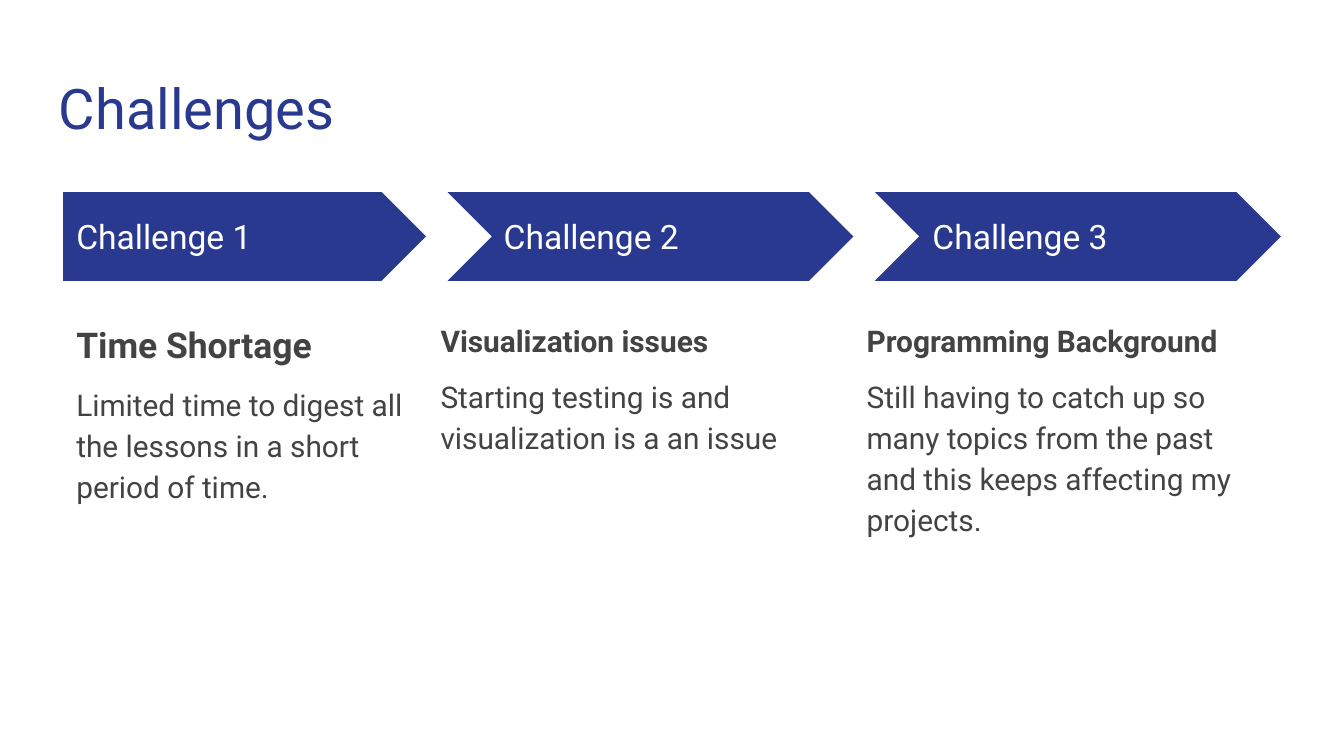
from dataclasses import dataclass

from pptx import Presentation
from pptx.dml.color import RGBColor
from pptx.enum.shapes import MSO_SHAPE
from pptx.enum.text import MSO_ANCHOR
from pptx.util import Inches, Pt


@dataclass(frozen=True)
class Theme:
    font: str = "Roboto"
    blue: RGBColor = RGBColor(0x2A, 0x39, 0x90)
    white: RGBColor = RGBColor(0xFF, 0xFF, 0xFF)
    grey: RGBColor = RGBColor(0x43, 0x43, 0x43)
    title: int = 30
    label: int = 18
    body: int = 16


THEME = Theme()
ARROW_TOP, ARROW_HEIGHT = 1.43, 0.66
LABEL_WIDTH, LABEL_HEIGHT = 2.47, 0.34
BODY_TOP, BODY_HEIGHT = 2.26, 2.9

# heading, heading size, detail, arrow (left, width), label left, body (left, width)
CHALLENGES = [
    ("Time Shortage", 19,
     "Limited time to digest all the lessons in a short period of time.",
     (0.47, 2.7), 0.47, (0.47, 2.7)),
    ("Visualization issues", THEME.body,
     "Starting testing is and visualization is a an issue",
     (3.33, 3.02), 3.65, (3.18, 2.87)),
    ("Programming Background", THEME.body,
     "Still having to catch up so many topics from the past "
     "and this keeps affecting my projects.",
     (6.51, 3.02), 6.84, (6.35, 3.19)),
]


def add_text(slide, box, paragraphs, anchor=MSO_ANCHOR.TOP):
    """Add a text box; each paragraph is (text, font values, paragraph values)."""
    tf = slide.shapes.add_textbox(*map(Inches, box)).text_frame
    frame = {"word_wrap": True, "vertical_anchor": anchor}
    frame.update({f"margin_{side}": Inches(0.1)
                  for side in ("left", "top", "right", "bottom")})
    for name, value in frame.items():
        setattr(tf, name, value)
    for i, (text, font, layout) in enumerate(paragraphs):
        p = tf.add_paragraph() if i else tf.paragraphs[0]
        for name, value in layout.items():
            setattr(p, name, value)
        r = p.add_run()
        r.text = text
        r.font.name = THEME.font
        r.font.color.rgb = font["color"]
        r.font.size = Pt(font["size"])
        r.font.bold = font.get("bold", False)


def add_title(slide, box, text):
    add_text(slide, box, [(text, {"size": THEME.title, "color": THEME.blue}, {})])


def add_arrow(slide, box, kind):
    sp = slide.shapes.add_shape(kind, *map(Inches, box))
    sp.adjustments[0] = 0.5
    sp.shadow.inherit = False
    sp.fill.solid()
    sp.fill.fore_color.rgb = THEME.blue
    sp.line.fill.background()


def add_label(slide, box, text):
    add_text(slide, box, [(text, {"size": THEME.label, "color": THEME.white}, {})],
             MSO_ANCHOR.MIDDLE)


def add_body(slide, box, heading, heading_size, detail):
    add_text(slide, box, [
        (heading, {"size": heading_size, "color": THEME.grey, "bold": True},
         {"line_spacing": 1.15}),
        (detail, {"size": THEME.body, "color": THEME.grey},
         {"line_spacing": 1.15, "space_before": Pt(8), "space_after": Pt(8)}),
    ])


def main():
    prs = Presentation()
    prs.slide_width = Inches(10)
    prs.slide_height = prs.slide_width * 9 // 16
    s = prs.slides.add_slide(prs.slide_layouts[6])
    add_title(s, (0.34, 0.45, 9.32, 0.66), "Challenges")
    label_top = ARROW_TOP + (ARROW_HEIGHT - LABEL_HEIGHT) / 2
    for number, challenge in enumerate(CHALLENGES, 1):
        heading, size, detail, arrow, label_left, body = challenge
        kind = MSO_SHAPE.PENTAGON if number == 1 else MSO_SHAPE.CHEVRON
        add_arrow(s, (arrow[0], ARROW_TOP, arrow[1], ARROW_HEIGHT), kind)
        add_label(s, (label_left, label_top, LABEL_WIDTH, LABEL_HEIGHT),
                  f"Challenge {number}")
        add_body(s, (body[0], BODY_TOP, body[1], BODY_HEIGHT), heading, size, detail)
    prs.save("out.pptx")


if __name__ == "__main__":
    main()
